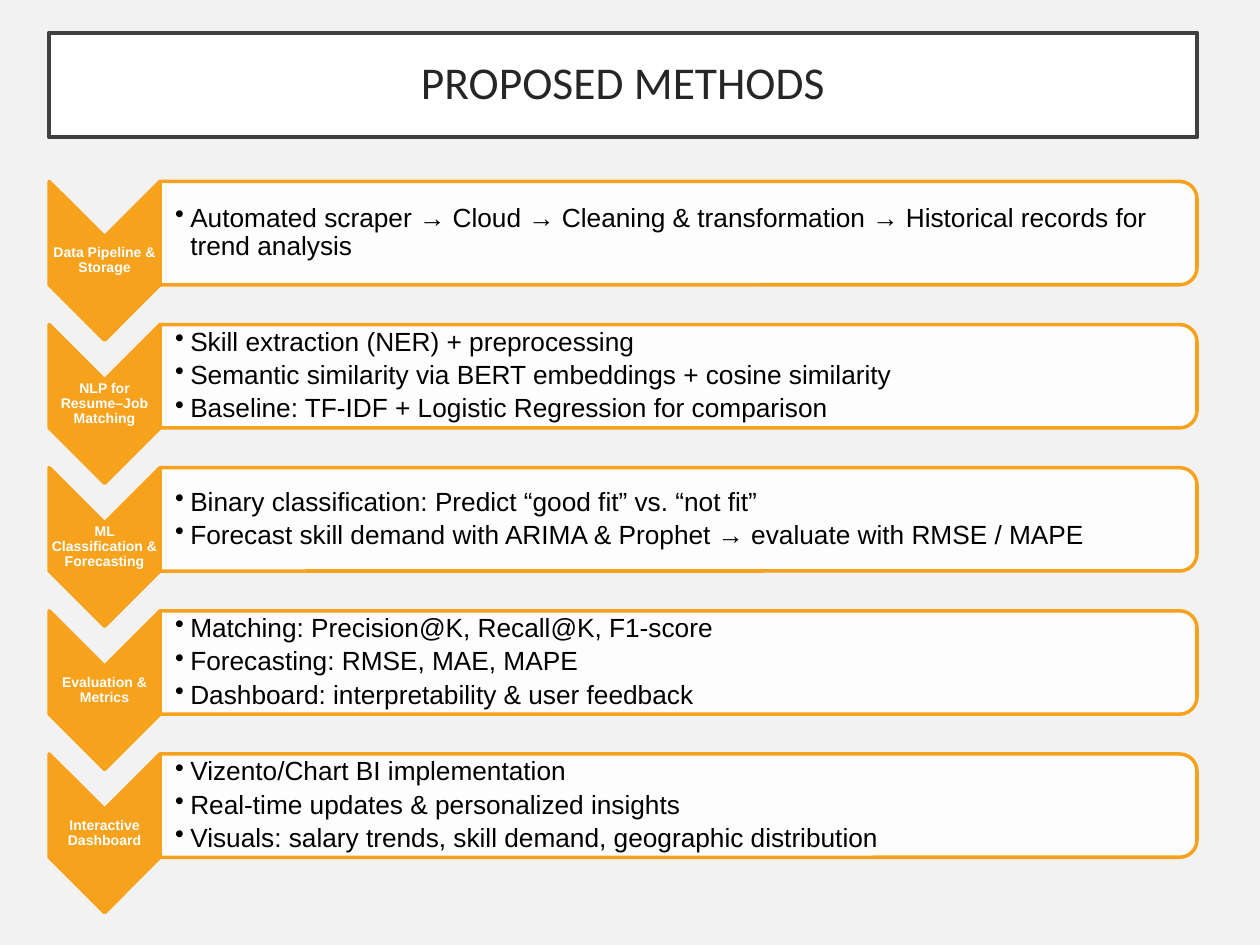
import pptx
import pptx.dml.color
import pptx.enum.shapes
import pptx.enum.text
import pptx.oxml.ns
import pptx.util
from lxml import etree

RGBColor = pptx.dml.color.RGBColor
Inches = pptx.util.Inches
Pt = pptx.util.Pt
Shape = pptx.enum.shapes.MSO_SHAPE
Align = pptx.enum.text.PP_ALIGN
Anchor = pptx.enum.text.MSO_ANCHOR
qn = pptx.oxml.ns.qn

BACKGROUND = RGBColor(0xF2, 0xF2, 0xF2)
WHITE = RGBColor(0xFF, 0xFF, 0xFF)
BLACK = RGBColor(0, 0, 0)
ORANGE = RGBColor(0xF6, 0xA2, 0x1D)
TITLE_LINE = RGBColor(0x40, 0x40, 0x40)
TITLE_TEXT = RGBColor(0x26, 0x26, 0x26)

# Grid in inches: a chevron column, a panel column and evenly spaced rows
LEFT, SPLIT, RIGHT = 0.39, 1.27, 9.5
FIRST_ROW, ROW_STEP = 1.44, 1.136
CHEVRON_HEIGHT, PANEL_HEIGHT = 1.26, 0.82
LABEL_OFFSET, LABEL_HEIGHT = 0.44, 0.38
LIST_MARGIN = 0.04
INDENT = 0.12

METHODS = [
    ("Data Pipeline & Storage", [
        "Automated scraper → Cloud → Cleaning & transformation → "
        "Historical records for trend analysis"]),
    ("NLP for Resume–Job Matching", [
        "Skill extraction (NER) + preprocessing",
        "Semantic similarity via BERT embeddings + cosine similarity",
        "Baseline: TF-IDF + Logistic Regression for comparison"]),
    ("ML Classification & Forecasting", [
        "Binary classification: Predict “good fit” vs. “not fit”",
        "Forecast skill demand with ARIMA & Prophet → evaluate with RMSE / MAPE"]),
    ("Evaluation & Metrics", [
        "Matching: Precision@K, Recall@K, F1-score",
        "Forecasting: RMSE, MAE, MAPE",
        "Dashboard: interpretability & user feedback"]),
    ("Interactive Dashboard", [
        "Vizento/Chart BI implementation",
        "Real-time updates & personalized insights",
        "Visuals: salary trends, skill demand, geographic distribution"]),
]


def set_frame(frame, left, other):
    frame.word_wrap = True
    frame.auto_size = pptx.enum.text.MSO_AUTO_SIZE.NONE
    frame.vertical_anchor = Anchor.MIDDLE
    frame.margin_left = Inches(left)
    frame.margin_top = frame.margin_right = frame.margin_bottom = Inches(other)


def format_paragraph(para, font_name, size, color, align, bold=False, after=0):
    para.alignment = align
    para.line_spacing = 0.9
    para.space_before = Pt(0)
    para.space_after = Pt(after)
    for span in para.runs:
        span.font.name = font_name
        span.font.size = Pt(size)
        span.font.bold = bold
        span.font.color.rgb = color


def add_bullet(para):
    properties = para._p.get_or_add_pPr()
    properties.set("marL", str(Inches(INDENT)))
    properties.set("indent", str(-Inches(INDENT)))
    etree.SubElement(properties, qn("a:buChar")).set("char", "•")


def add_title(page, text):
    title = page.shapes.title
    title.left, title.top = Inches(LEFT), Inches(0.26)
    title.width, title.height = Inches(RIGHT - LEFT), Inches(0.83)
    title.fill.solid()
    title.fill.fore_color.rgb = WHITE
    title.line.color.rgb = TITLE_LINE
    title.line.width = Pt(2.5)
    set_frame(title.text_frame, 0.2, 0.2)
    title.text_frame.text = text
    format_paragraph(title.text_frame.paragraphs[0], "Calibri", 26,
                     TITLE_TEXT, Align.CENTER)


def add_turned_shape(group, kind, left, top, width, height, fill):
    """Add a shape turned by 90 degrees that covers the given area."""
    shift = (width - height) / 2
    shape = group.shapes.add_shape(kind, Inches(left + shift), Inches(top - shift),
                                   Inches(height), Inches(width))
    shape.rotation = 90
    shape.shadow.inherit = False
    shape.fill.solid()
    shape.fill.fore_color.rgb = fill
    shape.line.color.rgb = ORANGE
    shape.line.width = Pt(2)
    return shape


def set_opacity(shape, percent):
    color = shape.fill._xPr.find(qn("a:solidFill"))[0]
    etree.SubElement(color, qn("a:alpha")).set("val", str(percent * 1000))


def add_text(group, left, top, width, height, lines, margin_left):
    box = group.shapes.add_textbox(Inches(left), Inches(top),
                                   Inches(width), Inches(height))
    set_frame(box.text_frame, margin_left, 0.01)
    box.text_frame.text = "\n".join(lines)
    return box.text_frame.paragraphs


def add_method(group, top, label, items):
    # Chevron with its label
    add_turned_shape(group, Shape.CHEVRON, LEFT, top, SPLIT - LEFT,
                     CHEVRON_HEIGHT, ORANGE)
    for para in add_text(group, LEFT, top + LABEL_OFFSET, SPLIT - LEFT,
                         LABEL_HEIGHT, [label], 0.01):
        format_paragraph(para, "Arial", 8, WHITE, Align.CENTER, bold=True)

    # Panel with its bullet list
    panel = add_turned_shape(group, Shape.ROUND_2_SAME_RECTANGLE, SPLIT, top,
                             RIGHT - SPLIT, PANEL_HEIGHT, WHITE)
    set_opacity(panel, 90)
    for para in add_text(group, SPLIT, top + LIST_MARGIN,
                         RIGHT - SPLIT - LIST_MARGIN,
                         PANEL_HEIGHT - 2 * LIST_MARGIN, items, INDENT):
        format_paragraph(para, "Arial", 15, BLACK, Align.LEFT, after=2.8)
        add_bullet(para)


def main():
    deck = pptx.Presentation()
    deck.slide_width, deck.slide_height = Inches(10), Inches(7.5)
    page = deck.slides.add_slide(deck.slide_layouts.get_by_name("Title Only"))
    page.background.fill.solid()
    page.background.fill.fore_color.rgb = BACKGROUND

    add_title(page, "PROPOSED METHODS")
    group = page.shapes.add_group_shape()
    for row, (label, items) in enumerate(METHODS):
        add_method(group, FIRST_ROW + row * ROW_STEP, label, items)
    deck.save("out.pptx")


if __name__ == "__main__":
    main()
